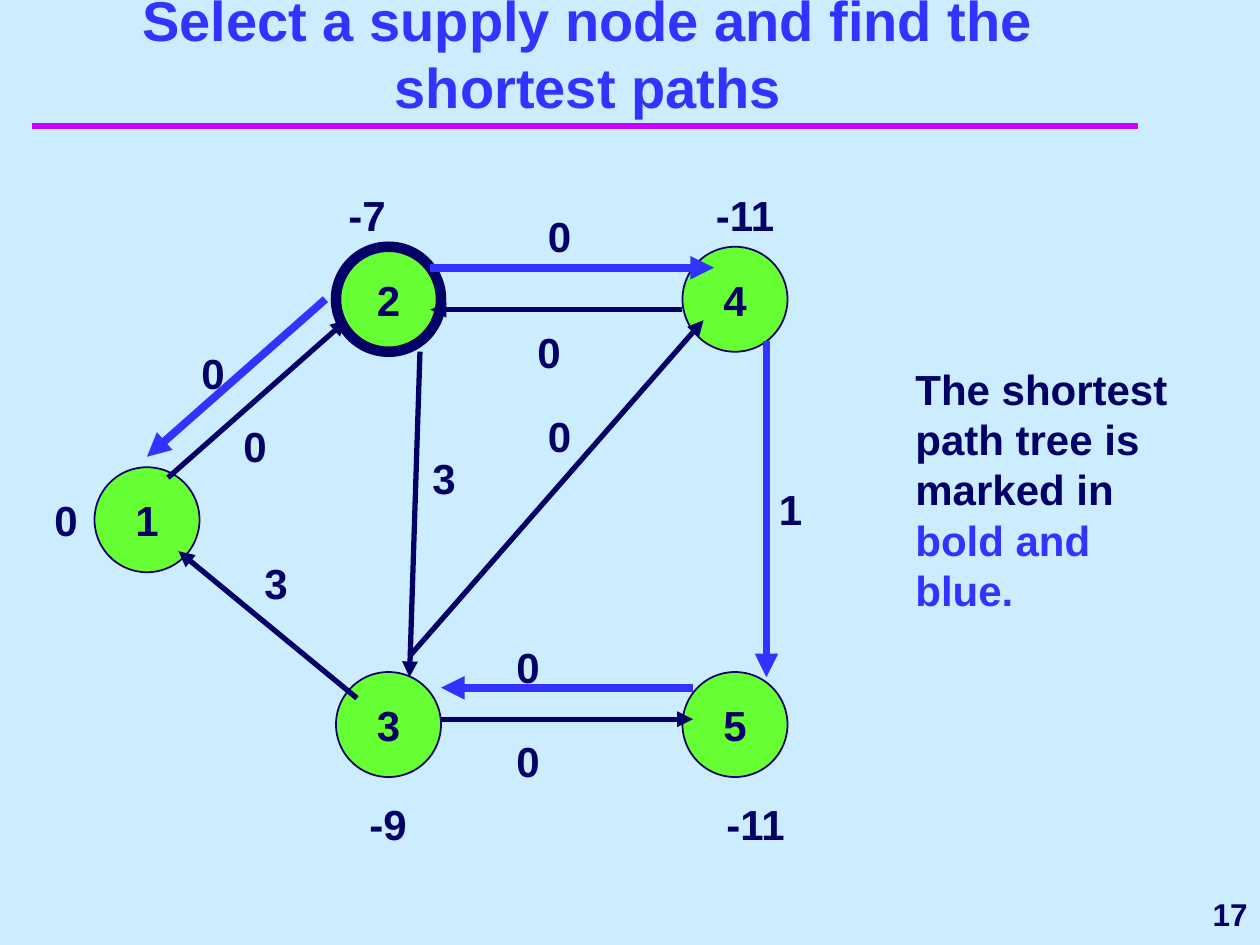
from lxml import etree
from pptx import Presentation, util as u
from pptx.dml.color import RGBColor
from pptx.enum import shapes, text
from pptx.oxml import ns

COLORS = {"sky": "CCECFF", "navy": "000066", "blue": "3333FF",
          "green": "66FF33", "magenta": "CC00FF"}
COLUMNS, ROWS = 120, 90
NODE_SIZE = 10


def rgb(name):
    return RGBColor.from_string(COLORS[name])


class NetworkSlide:
    """Draws on one slide, with places given in grid columns and rows."""

    font = "Arial"
    text_size = 24

    def __init__(self, deck):
        self.cell_width = deck.slide_width / COLUMNS
        self.cell_height = deck.slide_height / ROWS
        self.page = deck.slides.add_slide(deck.slide_layouts[6])
        fill = self.page.background.fill
        fill.solid()
        fill.fore_color.rgb = rgb("sky")

    def place(self, column, row):
        return round(column * self.cell_width), round(row * self.cell_height)

    def style_span(self, span, color, size):
        span.font.name = self.font
        span.font.size = u.Pt(size)
        span.font.bold = True
        span.font.color.rgb = rgb(color)

    def fill_text(self, shape, parts, align, anchor, size):
        """Fill a shape with one paragraph of (wording, colour) parts."""
        frame = shape.text_frame
        frame.word_wrap = True
        frame.vertical_anchor = anchor
        para = frame.paragraphs[0]
        para.alignment = align
        for wording, color in parts:
            span = para.add_run()
            span.text = wording
            self.style_span(span, color, size)

    def label(self, column, row, width, height, *parts, align=text.PP_ALIGN.LEFT,
              anchor=text.MSO_ANCHOR.TOP, size=text_size):
        box = self.page.shapes.add_textbox(*self.place(column, row),
                                           *self.place(width, height))
        self.fill_text(box, parts, align, anchor, size)

    def node(self, name, column, row, outline=1):
        circle = self.page.shapes.add_shape(
            shapes.MSO_SHAPE.OVAL, *self.place(column, row),
            *self.place(NODE_SIZE, NODE_SIZE))
        circle.shadow.inherit = False
        circle.fill.solid()
        circle.fill.fore_color.rgb = rgb("green")
        circle.line.color.rgb = rgb("navy")
        circle.line.width = u.Pt(outline)
        self.fill_text(circle, [(name, "navy")], text.PP_ALIGN.CENTER,
                       text.MSO_ANCHOR.MIDDLE, self.text_size)

    def line(self, start, end, color, width, arrow=False):
        connector = self.page.shapes.add_connector(
            shapes.MSO_CONNECTOR.STRAIGHT, *self.place(*start), *self.place(*end))
        connector.line.color.rgb = rgb(color)
        connector.line.width = u.Pt(width)
        properties = connector._element.spPr
        if arrow:
            etree.SubElement(properties.get_or_add_ln(),
                             ns.qn("a:tailEnd"), type="triangle")
        etree.SubElement(properties, ns.qn("a:effectLst"))

    def arc(self, start, end):
        self.line(start, end, "navy", 3, arrow=True)

    def tree_arc(self, start, end):
        self.line(start, end, "blue", 4.5, arrow=True)


NODES = [("1", 9, 44.5, 1), ("2", 32, 23.5, 6), ("3", 32, 64, 1),
         ("5", 65, 64, 1), ("4", 65, 23.5, 1)]
ARCS = [((16, 45.5), (33, 30.5)), ((39, 62.5), (67, 30.5)),
        ((34, 66.5), (17, 52.5)), ((42, 68.5), (66, 68.5)),
        ((40, 33.5), (39, 64.5)), ((65, 29.5), (41, 29.5))]
TREE_ARCS = [((41, 25.5), (68, 25.5)), ((73, 32.5), (73, 64.5)),
             ((66, 65.5), (42, 65.5)), ((31, 28.5), (14, 43.5))]
POTENTIALS = [("0", 4, 46.5, 8), ("-7", 32, 17.5, 8), ("-11", 67, 17.5, 11),
              ("-11", 68, 75.5, 15), ("-9", 34, 75.5, 8)]
COSTS = [("1", 73, 45.5, 5)] + [
    (cost, column, row, 14) for cost, column, row in [
        ("0", 22, 39.5), ("3", 24, 52.5), ("0", 48, 69.5), ("0", 51, 38.5),
        ("3", 40, 42.5), ("0", 51, 19.5), ("0", 48, 60.5), ("0", 18, 32.5),
        ("0", 50, 30.5)]]


def main():
    deck = Presentation()
    deck.slide_width, deck.slide_height = u.Inches(10), u.Inches(7.5)
    slide = NetworkSlide(deck)

    slide.line((3, 12), (108.4, 12), "magenta", 4)
    slide.label(97, 84, 23, 6, ("17", "navy"), align=text.PP_ALIGN.RIGHT,
                anchor=text.MSO_ANCHOR.MIDDLE, size=18)
    slide.label(5, 7, 102, 5,
                ("Select a supply node and find the shortest paths", "blue"),
                align=text.PP_ALIGN.CENTER, anchor=text.MSO_ANCHOR.BOTTOM, size=32)

    for node in NODES:
        slide.node(*node)
    for start, end in ARCS:
        slide.arc(start, end)
    for start, end in TREE_ARCS:
        slide.tree_arc(start, end)
    for value, column, row, width in POTENTIALS + COSTS:
        slide.label(column, row, width, 6, (value, "navy"))

    slide.label(86, 34, 27, 25.2, ("The shortest path tree is marked in ", "navy"),
                ("bold and blue.", "blue"))
    deck.save("out.pptx")


if __name__ == "__main__":
    main()
